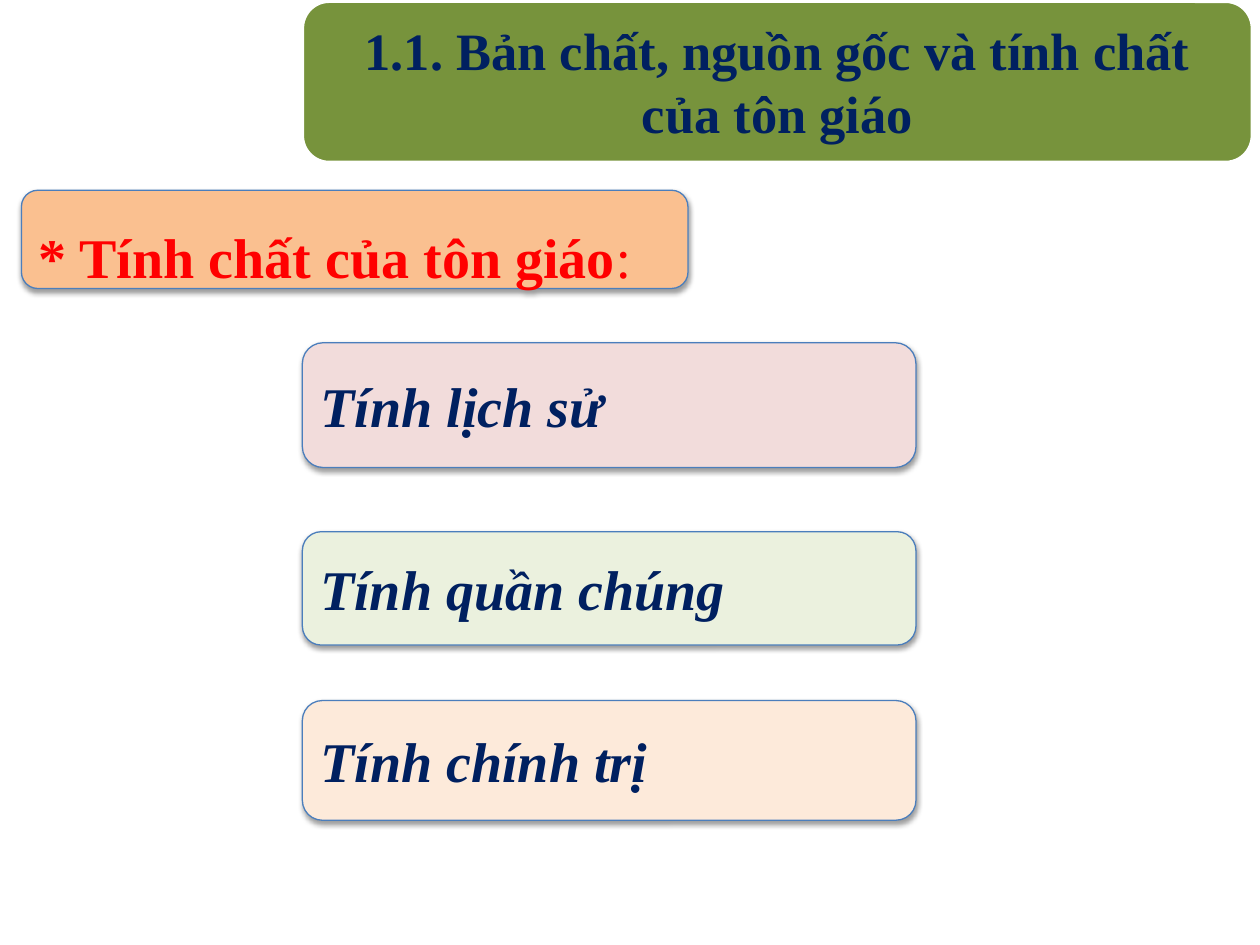
from dataclasses import dataclass

from lxml import etree
from pptx import Presentation
from pptx.dml.color import RGBColor
from pptx.enum.shapes import MSO_SHAPE
from pptx.enum.text import MSO_ANCHOR, PP_ALIGN
from pptx.oxml.ns import qn
from pptx.shapes.autoshape import Shape
from pptx.text.text import _Paragraph
from pptx.util import Inches, Pt

ROUNDED = MSO_SHAPE.ROUNDED_RECTANGLE
MIDDLE = MSO_ANCHOR.MIDDLE
LEFT, CENTER, JUSTIFY = PP_ALIGN.LEFT, PP_ALIGN.CENTER, PP_ALIGN.JUSTIFY

FONT = "Times New Roman"
WHITE = RGBColor(0xFF, 0xFF, 0xFF)
NAVY = RGBColor(0x00, 0x20, 0x60)
RED = RGBColor(0xFF, 0x00, 0x00)
BLUE = RGBColor(0x4B, 0x7E, 0xBC)
GREEN = RGBColor(0x77, 0x93, 0x3C)
ORANGE = RGBColor(0xFA, 0xC0, 0x90)
PINK = RGBColor(0xF2, 0xDC, 0xDB)
PALE_GREEN = RGBColor(0xEB, 0xF1, 0xDE)
PEACH = RGBColor(0xFD, 0xEA, 0xDA)

PROPERTY_LEFT, PROPERTY_WIDTH = 2.4, 4.87


@dataclass(frozen=True)
class Property:
    text: str
    top: float
    height: float
    fill: RGBColor


PROPERTIES = (
    Property("Tính lịch sử", 2.72, 0.99, PINK),
    Property("Tính quần chúng", 4.22, 0.9, PALE_GREEN),
    Property("Tính chính trị", 5.56, 0.95, PEACH),
)


def add_shadow(shape: Shape) -> None:
    """Give the shape a soft shadow falling straight down."""
    effects = shape._element.spPr.find(qn("a:effectLst"))
    shadow = etree.SubElement(effects, qn("a:outerShdw"), blurRad=str(Pt(3.1)),
                              dist=str(Pt(1.6)), dir="5400000", rotWithShape="0")
    color = etree.SubElement(shadow, qn("a:srgbClr"), val="000000")
    etree.SubElement(color, qn("a:alpha"), val="38000")


def add_box(shapes, left: float, top: float, width: float, height: float,
            fill: RGBColor, line: RGBColor, line_width: float) -> Shape:
    """Add a rounded box without a shadow."""
    shape = shapes.add_shape(ROUNDED, Inches(left), Inches(top), Inches(width), Inches(height))
    shape.shadow.inherit = False
    shape.fill.solid()
    shape.fill.fore_color.rgb = fill
    shape.line.color.rgb = line
    shape.line.width = Pt(line_width)
    shape.text_frame.vertical_anchor = MIDDLE
    return shape


def add_run(paragraph: _Paragraph, text: str, size: float, color: RGBColor,
            bold: bool = True, italic: bool = False) -> None:
    """Append one formatted run to the paragraph."""
    run = paragraph.add_run()
    run.text = text
    run.font.name = FONT
    run.font.size = Pt(size)
    run.font.color.rgb = color
    run.font.bold = bold
    run.font.italic = italic


def add_heading(slide) -> None:
    """Add the heading that introduces the properties."""
    shape = add_box(slide.shapes, 0.17, 1.51, 5.29, 0.78, ORANGE, BLUE, 0.75)
    add_shadow(shape)
    paragraph = shape.text_frame.paragraphs[0]
    paragraph.alignment = JUSTIFY
    paragraph.line_spacing = 1.5
    paragraph.space_before = paragraph.space_after = Pt(6)
    add_run(paragraph, "* Tính chất của tôn giáo", 32, RED)
    add_run(paragraph, ":", 32, RED, bold=False)


def add_property(slide, item: Property) -> None:
    """Add one property box."""
    shape = add_box(slide.shapes, PROPERTY_LEFT, item.top, PROPERTY_WIDTH, item.height,
                    item.fill, BLUE, 0.75)
    add_shadow(shape)
    paragraph = shape.text_frame.paragraphs[0]
    paragraph.alignment = LEFT
    add_run(paragraph, item.text, 32, NAVY, italic=True)


def add_title(slide) -> None:
    """Add the grouped title banner and its text."""
    group = slide.shapes.add_group_shape()
    add_box(group.shapes, 2.4, 0.01, 7.54, 1.28, GREEN, WHITE, 2)
    text_box = group.shapes.add_textbox(Inches(2.45), Inches(0.07), Inches(7.44), Inches(1.15))
    frame = text_box.text_frame
    frame.word_wrap = True
    frame.vertical_anchor = MIDDLE
    frame.margin_left = frame.margin_right = Inches(0.24)
    frame.margin_top = frame.margin_bottom = Inches(0)
    paragraph = frame.paragraphs[0]
    paragraph.alignment = CENTER
    add_run(paragraph, "1.1. Bản chất, nguồn gốc và tính chất của tôn giáo", 30, NAVY)


def main() -> None:
    """Build the slide and save the presentation."""
    presentation = Presentation()
    presentation.slide_width = Inches(10)
    presentation.slide_height = Inches(7.5)
    slide = presentation.slides.add_slide(presentation.slide_layouts[6])
    add_heading(slide)
    for item in PROPERTIES:
        add_property(slide, item)
    add_title(slide)
    presentation.save("out.pptx")


if __name__ == "__main__":
    main()
